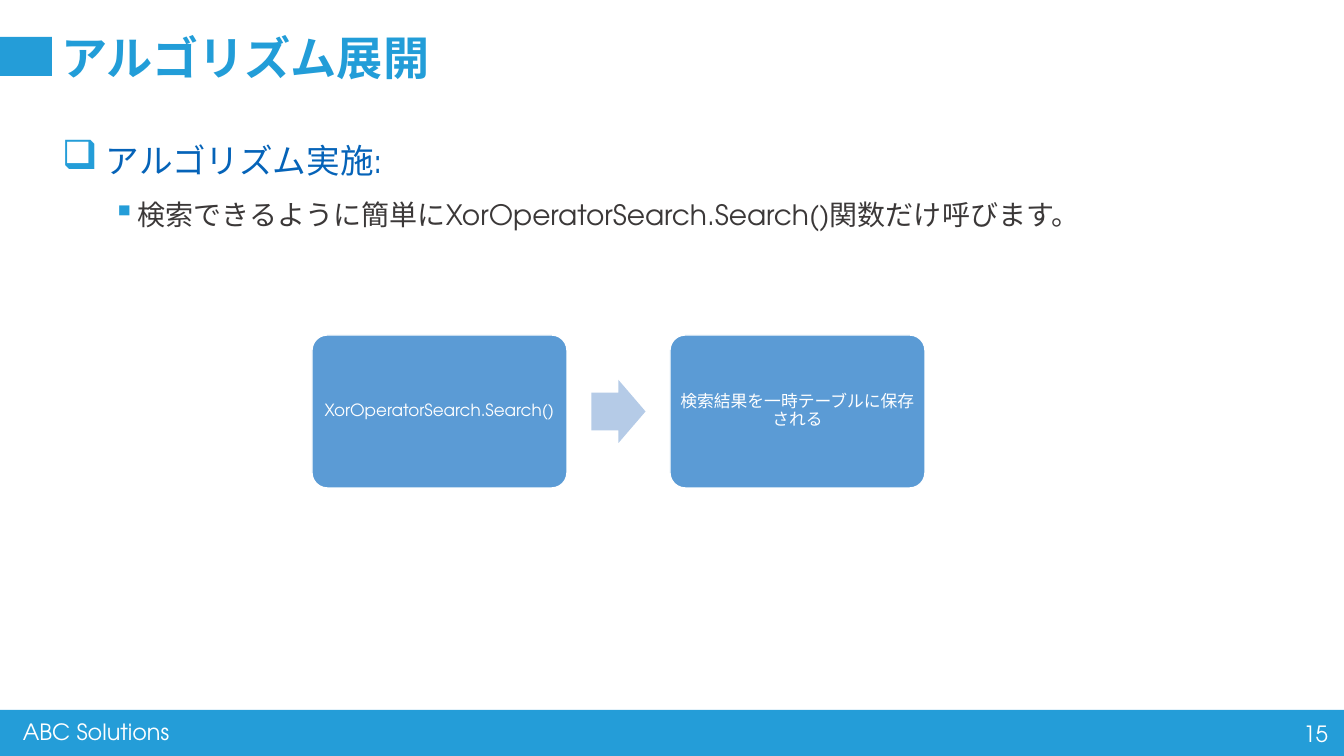
from lxml import etree
from pptx import Presentation
from pptx.dml.color import RGBColor
from pptx.enum.shapes import MSO_SHAPE
from pptx.enum.text import MSO_ANCHOR, PP_ALIGN
from pptx.oxml.ns import qn
from pptx.util import Pt

PX = 914400 / 100.8
FONT = "TeX Gyre Adventor"
BLUE = RGBColor(0x24, 0x9D, 0xD8)
TITLE_BLUE = RGBColor(0x22, 0x9D, 0xD8)
HEADING_BLUE = RGBColor(0x05, 0x63, 0xB8)
DARK = RGBColor(0x3B, 0x38, 0x38)
STEP_BLUE = RGBColor(0x5B, 0x9B, 0xD5)
ARROW_BLUE = RGBColor(0xB5, 0xCB, 0xE7)
WHITE = RGBColor(0xFF, 0xFF, 0xFF)
RECT, ROUND, ARROW = MSO_SHAPE.RECTANGLE, MSO_SHAPE.ROUNDED_RECTANGLE, MSO_SHAPE.RIGHT_ARROW
LEFT, CENTER, RIGHT = PP_ALIGN.LEFT, PP_ALIGN.CENTER, PP_ALIGN.RIGHT
TOP, MIDDLE = MSO_ANCHOR.TOP, MSO_ANCHOR.MIDDLE

TITLE = "アルゴリズム展開"
BODY = [
    ("アルゴリズム実施:", 24, HEADING_BLUE, "❑", 120, 44, 44),
    ("検索できるように簡単にXorOperatorSearch.Search()関数だけ呼びます。", 20, DARK, "▪", 110, 76, 25),
]
STEPS = ["XorOperatorSearch.Search()", "検索結果を一時テーブルに保存される"]
FOOTER = [
    ("ABC Solutions", (13, 713, 423, 37), LEFT),
    ("15", (1036, 715, 302, 40), RIGHT),
]
BANDS = [(-2, 710, 1351, 48), (0, 37, 52, 39)]
STEP_X, STEP_Y, STEP_W, STEP_H, STEP_PITCH = 312, 335, 255, 153, 358
ARROW_W, ARROW_H = 54, 63


def px(*values):
    return [round(v * PX) for v in values]


def write(p, text, size, color, align=LEFT, spacing=1.0, bold=False):
    p.alignment, p.line_spacing = align, spacing
    r = p.add_run()
    r.text = text
    r.font.color.rgb = color
    for name, value in {"name": FONT, "size": Pt(size), "bold": bold}.items():
        setattr(r.font, name, value)


def add_shape(kind, box, fill, adjustments=()):
    sp = s.shapes.add_shape(kind, *px(*box))
    sp.shadow.inherit = False
    sp.fill.solid()
    sp.fill.fore_color.rgb = fill
    sp.line.fill.background()
    for i, value in enumerate(adjustments):
        sp.adjustments[i] = value
    return sp


def add_text_box(box):
    tf = s.shapes.add_textbox(*px(*box)).text_frame
    tf.word_wrap = True
    return tf


def set_bullet(p, char, percent, margin, hanging):
    pPr = p._p.get_or_add_pPr()
    pPr.set("marL", str(px(margin)[0]))
    pPr.set("indent", str(px(-hanging)[0]))
    color = etree.SubElement(pPr, qn("a:buClr"))
    etree.SubElement(color, qn("a:srgbClr"), val=str(BLUE))
    etree.SubElement(pPr, qn("a:buSzPct"), val=str(percent * 1000))
    etree.SubElement(pPr, qn("a:buChar"), char=char)


prs = Presentation()
prs.slide_width, prs.slide_height = px(1344, 756)
s = prs.slides.add_slide(prs.slide_layouts[5])

for band in BANDS:
    add_shape(RECT, band, BLUE)
for text, box, align in FOOTER:
    write(add_text_box(box).paragraphs[0], text, 16, WHITE, align)

title = s.shapes.title
title.left, title.top, title.width, title.height = px(51, 31, 1291, 48)
title.text_frame.vertical_anchor = TOP
write(title.text_frame.paragraphs[0], TITLE, 33, TITLE_BLUE, spacing=0.9, bold=True)

tf = add_text_box((52, 115, 1026, 145))
for i, (text, size, color, *bullet) in enumerate(BODY):
    p = tf.add_paragraph() if i else tf.paragraphs[0]
    p.level = i
    write(p, text, size, color, spacing=1.5)
    set_bullet(p, *bullet)

for i, text in enumerate(STEPS):
    x = STEP_X + i * STEP_PITCH
    if i:
        gap = STEP_PITCH - STEP_W
        box = (x - (gap + ARROW_W) / 2, STEP_Y + (STEP_H - ARROW_H) / 2, ARROW_W, ARROW_H)
        add_shape(ARROW, box, ARROW_BLUE, (0.6, 0.5))
    sp = add_shape(ROUND, (x, STEP_Y, STEP_W, STEP_H), STEP_BLUE, (0.1,))
    sp.line.color.rgb = WHITE
    sp.line.width = Pt(1)
    tf = sp.text_frame
    tf.word_wrap, tf.vertical_anchor = True, MIDDLE
    for side in ("left", "right", "top", "bottom"):
        setattr(tf, f"margin_{side}", px(5)[0])
    write(tf.paragraphs[0], text, 12, WHITE, CENTER, 0.9)

prs.save("out.pptx")
